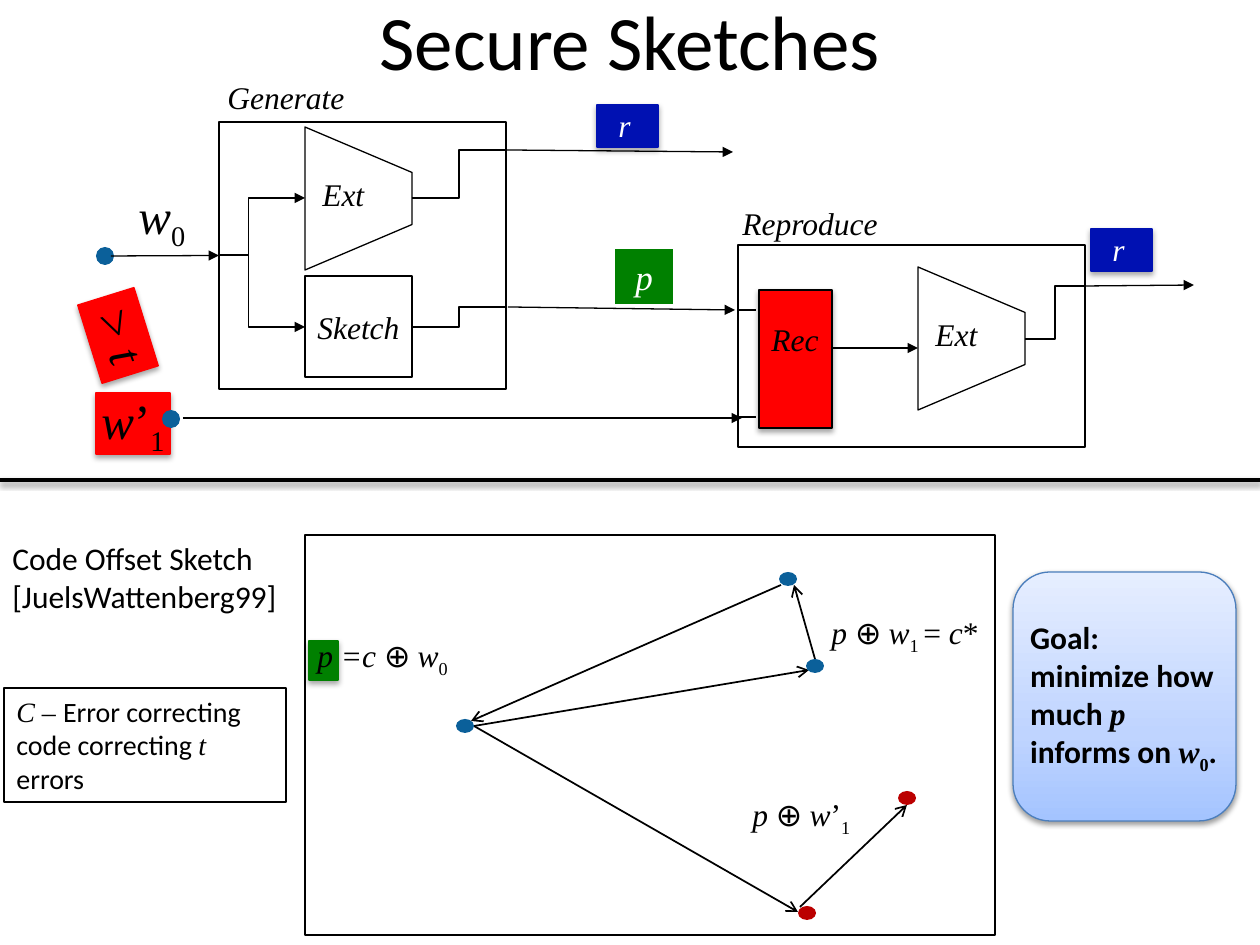
from copy import deepcopy
from pptx import Presentation
from pptx import util as u
from pptx.dml.color import RGBColor
from pptx.enum import shapes, text
from pptx.oxml.ns import qn
from lxml import etree

SCALE = 914400 / 126
BLACK, WHITE, RED, GREEN = "000000", "FFFFFF", "FF0000", "008000"
NAVY, BLUE, CRIMSON = "0011B2", "0B609A", "BB0000"
KIND = shapes.MSO_SHAPE
LINK = shapes.MSO_CONNECTOR


def px(n):
    return u.Emu(round(n * SCALE))


def color(value):
    return RGBColor.from_string(value)


def add_shadow(sp, alpha=35, dist=23000):
    sp_pr = sp._element.spPr
    effects = sp_pr.find(qn("a:effectLst"))
    if effects is None:
        effects = etree.SubElement(sp_pr, qn("a:effectLst"))
    outer = etree.SubElement(effects, qn("a:outerShdw"), blurRad="40000",
                             dist=str(dist), dir="5400000", rotWithShape="0")
    rgb = etree.SubElement(outer, qn("a:srgbClr"), val=BLACK)
    etree.SubElement(rgb, qn("a:alpha"), val=str(alpha * 1000))


def shape(parent, kind, x, y, w, h, fill=None, line=None, width=0.75, shadow=False):
    sp = parent.add_shape(kind, px(x), px(y), px(w), px(h))
    sp.shadow.inherit = False
    if fill:
        sp.fill.solid()
        sp.fill.fore_color.rgb = color(fill)
    else:
        sp.fill.background()
    if line:
        sp.line.color.rgb = color(line)
        sp.line.width = u.Pt(width)
    else:
        sp.line.fill.background()
    if shadow:
        add_shadow(sp)
    return sp


def tile(parent, x, y, w, h, fill):
    return shape(parent, KIND.RECTANGLE, x, y, w, h, fill, fill, shadow=True)


def dot(parent, x, y, w, h, fill):
    shape(parent, KIND.OVAL, x, y, w, h, fill)


def write(sp, paragraphs, size, ink=BLACK, align=text.PP_ALIGN.LEFT, wrap=True,
          anchor=text.MSO_ANCHOR.TOP):
    tf = sp.text_frame
    tf.word_wrap = wrap
    tf.vertical_anchor = anchor
    if not wrap:
        tf.auto_size = text.MSO_AUTO_SIZE.SHAPE_TO_FIT_TEXT
    for i, runs in enumerate(paragraphs):
        p = tf.add_paragraph() if i else tf.paragraphs[0]
        p.alignment = align
        for words, style in runs:
            if words == "\n":
                p.add_line_break()
                continue
            r = p.add_run()
            r.text = words
            r.font.size = u.Pt(size)
            r.font.name = "Calibri" if "c" in style else "Times New Roman"
            r.font.italic = "i" in style
            r.font.bold = "b" in style
            r.font.color.rgb = color(ink)
            if "s" in style:
                r._r.get_or_add_rPr().set("baseline", "-25000")


def label(parent, x, y, w, h, runs, size=18, ink=BLACK, wrap=False):
    sp = parent.add_textbox(px(x), px(y), px(w), px(h))
    write(sp, [runs], size, ink, wrap=wrap)
    return sp


def wire(parent, x1, y1, x2, y2, head=None, width=0.75, bend=None):
    kind = LINK.ELBOW if bend else LINK.STRAIGHT
    c = parent.add_connector(kind, px(x1), px(y1), px(x2), px(y2))
    c.line.color.rgb = color(BLACK)
    c.line.width = u.Pt(width)
    sp_pr = c._element.spPr
    if head:
        etree.SubElement(sp_pr.find(qn("a:ln")), qn("a:tailEnd"), type=head)
    if bend:
        guides = sp_pr.find(qn("a:prstGeom")).find(qn("a:avLst"))
        etree.SubElement(guides, qn("a:gd"), name="adj1", fmla=f"val {bend * 1000}")
    etree.SubElement(sp_pr, qn("a:effectLst"))
    return c


def extractor(s, x, y):
    g = s.shapes.add_group_shape().shapes
    sp = shape(g, KIND.TRAPEZOID, x - 18, y + 18, 143, 107, line=BLACK)
    sp.rotation = 90
    sp.adjustments[0] = 0.425
    label(g, x + 5, y + 42, 78, 50, [("Ext", "i")])


def r_tag(s, x, y):
    g = s.shapes.add_group_shape().shapes
    tile(g, x, y, 61, 42, NAVY)
    label(g, x + 9, y - 5, 49, 50, [("r", "i")], ink=WHITE)


def generate(s, x, y):
    g = s.shapes
    box = shape(g, KIND.RECTANGLE, x, y, 287, 267, line=BLACK)
    label(g, x - 4, y - 50, 155, 50, [("Generate", "i")])
    extractor(s, x + 86, y + 5)
    shape(g, KIND.RECTANGLE, x + 86, y + 154, 107, 101, line=BLACK)
    label(g, x + 86, y + 180, 120, 50, [("Sketch", "i")])
    for target in (76, 205):
        wire(g, x, y + 133, x + 86, y + target, "triangle", bend=34)
    for start, end in ((76, 28), (205, 185)):
        wire(g, x + 193, y + start, x + 287, y + end, bend=50)
    return box


def reproduce(s, x, y):
    g = s.shapes
    shape(g, KIND.RECTANGLE, x, y, 347, 202, line=BLACK)
    label(g, x - 8, y - 47, 173, 50, [("Reproduce", "i")])
    shape(g, KIND.RECTANGLE, x + 21, y + 45, 73, 138, RED, BLACK, shadow=True)
    label(g, x + 21, y + 69, 84, 50, [("Rec", "i")])
    extractor(s, x + 180, y + 22)
    wire(g, x + 94, y + 103, x + 180, y + 103, "triangle")
    wire(g, x + 287, y + 94, x + 347, y + 41, bend=50)
    for stub in (65, 172):
        wire(g, x, y + stub, x + 18, y + stub)


def signals(s, x, y, gen):
    g = s.shapes
    dot(g, x + 19, y + 125, 18, 18, BLUE)
    wire(g, x + 34, y + 134, x + 142, y + 134, "triangle").end_connect(gen, 1)
    label(g, x + 49, y + 57, 81, 72, [("w", "i"), ("0", "s")], 28)
    tile(g, x, y + 184, 82, 59, RED).rotation = 72.7
    label(g, x + 5, y + 180, 82, 72, [("> ", ""), ("t", "i")], 28).rotation = 69.7
    tile(g, x + 19, y + 271, 74, 61, RED)
    dot(g, x + 85, y + 288, 18, 18, BLUE)
    label(g, x + 12, y + 262, 97, 72, [("w", "i"), ("’", ""), ("1", "s")], 28)
    for x1, y1, x2, y2 in ((429, 28, 656, 30), (431, 185, 658, 188),
                           (106, 296, 665, 296), (1008, 164, 1117, 163)):
        wire(g, x + x1, y + y1, x + x2, y + y2, "triangle")
    p_tag = shape(g, KIND.RECTANGLE, x + 538, y + 127, 58, 55, GREEN)
    write(p_tag, [[("p", "i")]], 20, WHITE, text.PP_ALIGN.CENTER, wrap=False)
    r_tag(s, x + 520, y - 17)
    r_tag(s, x + 1014, y + 107)


def code_offset(s, x, y):
    g = s.shapes
    tile(g, x + 4, y + 106, 29, 39, GREEN)
    shape(g, KIND.RECTANGLE, x, y, 690, 400, line=BLACK, width=1)
    for x1, y1, x2, y2 in ((476, 50, 166, 186), (169, 191, 504, 135),
                           (510, 124, 489, 50), (495, 372, 602, 270),
                           (169, 191, 493, 377)):
        wire(g, x + x1, y + y1, x + x2, y + y2, "arrow", 1)
    for dx, dy, fill in ((151, 184, BLUE), (474, 37, BLUE), (501, 124, BLUE),
                         (593, 256, CRIMSON), (493, 371, CRIMSON)):
        dot(g, x + dx, y + dy, 18, 14, fill)
    xor_w = [("⊕ ", "c"), ("w", "i")]
    for dx, dy, w, lead, rest in (
            (514, 72, 195, "p ", [("1 ", "s"), ("= ", ""), ("c", "i"), ("*", "")]),
            (0, 95, 287, "p =c ", [("0", "s")]),
            (435, 254, 195, "p ", [("’", ""), ("1", "s")])):
        label(g, x + dx, y + dy, w, 50, [(lead, "i")] + xor_w + rest, wrap=True)


def side_notes(s, x, y):
    heading = s.shapes.add_textbox(px(x), px(y), px(305), px(89))
    write(heading, [[("Code Offset Sketch", "c")], [("[JuelsWattenberg99]", "c")]], 18)
    note = shape(s.shapes, KIND.RECTANGLE, x + 4, y + 155, 282, 114, line=BLACK)
    write(note, [[("C – ", "i"), ("Error correcting", "c"), ("\n", ""),
                  ("code correcting ", "c"), ("t", "i"), (" errors", "c")]], 16)


def goal(s, x, y, w, h):
    sp = shape(s.shapes, KIND.ROUNDED_RECTANGLE, x, y, w, h, line="4B7EBC")
    sp.fill.gradient()
    sp.fill.gradient_angle = 90
    stops = sp._element.spPr.find(qn("a:gradFill")).find(qn("a:gsLst"))
    stops.insert(1, deepcopy(stops[0]))
    ramp = ((0, "A4C4FF"), (0.35, "BFD4FF"), (1, "E6EEFF"))
    for stop, (position, tint) in zip(sp.fill.gradient_stops, ramp):
        stop.position = position
        stop.color.rgb = color(tint)
    add_shadow(sp, 38, 20000)
    tf = sp.text_frame
    tf.margin_left = tf.margin_right = tf.margin_top = tf.margin_bottom = u.Inches(0.05)
    write(sp, [[("Goal: minimize how much ", "cb"), ("p", "bi"), (" informs on ", "cb"),
                ("w", "bi"), ("0", "bs"), (".", "cb")]], 18,
          anchor=text.MSO_ANCHOR.MIDDLE)


def title(s, x, y, w, h):
    sp = s.shapes.add_textbox(px(x), px(y), px(w), px(h))
    write(sp, [[("Secure Sketches", "c")]], 44, align=text.PP_ALIGN.CENTER,
          anchor=text.MSO_ANCHOR.MIDDLE)


def main():
    prs = Presentation()
    prs.slide_width, prs.slide_height = px(1260), px(945)
    s = prs.slides.add_slide(prs.slide_layouts[6])
    title(s, 63, -39, 1134, 158)
    add_shadow(wire(s.shapes, 1260, 480, 0, 480, width=2), 38, 20000)
    gen = generate(s, 219, 122)
    reproduce(s, 738, 245)
    signals(s, 77, 122, gen)
    code_offset(s, 305, 535)
    side_notes(s, 0, 533)
    goal(s, 1013, 572, 223, 249)
    prs.save("out.pptx")


if __name__ == "__main__":
    main()
